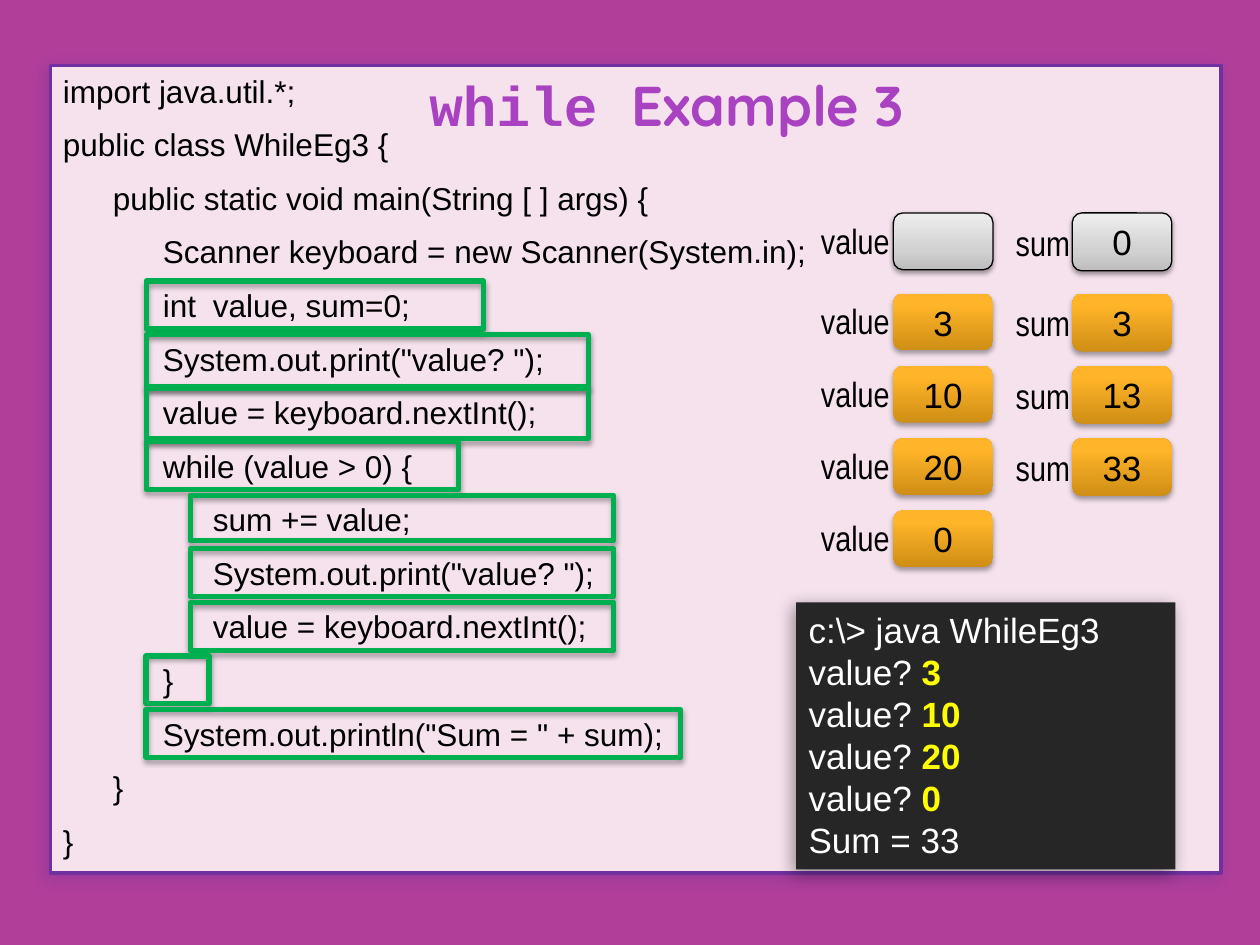
"""Builds the slide that traces a Java while loop through its variables and console."""
from dataclasses import dataclass
from typing import Optional

import lxml.etree
import pptx
import pptx.dml.color
import pptx.enum.shapes
import pptx.enum.text
import pptx.oxml.ns
import pptx.util

Pt = pptx.util.Pt
RGBColor = pptx.dml.color.RGBColor
Shape = pptx.enum.shapes.MSO_SHAPE
Align = pptx.enum.text.PP_ALIGN
Anchor = pptx.enum.text.MSO_ANCHOR
qn = pptx.oxml.ns.qn

MAGENTA = RGBColor(0xB1, 0x3F, 0x9A)
PINK = RGBColor(0xF5, 0xE2, 0xED)
PURPLE = RGBColor(0x70, 0x30, 0xA0)
GREEN = RGBColor(0x00, 0xB0, 0x50)
CHARCOAL = RGBColor(0x26, 0x26, 0x26)
BLACK = RGBColor(0x00, 0x00, 0x00)
WHITE = RGBColor(0xFF, 0xFF, 0xFF)
YELLOW = RGBColor(0xFF, 0xFF, 0x00)

GREY_STOPS = ((0, RGBColor(0xBD, 0xBD, 0xBD)), (35, RGBColor(0xD1, 0xD1, 0xD1)),
              (100, RGBColor(0xEE, 0xEE, 0xEE)))
ORANGE_STOPS = ((0, RGBColor(0xCF, 0x8E, 0x15)), (80, RGBColor(0xFF, 0xB4, 0x29)),
                (100, RGBColor(0xFF, 0xB5, 0x2B)))
TITLE_STOPS = ((0, RGBColor(0xDB, 0x8A, 0xF1)), (75, RGBColor(0xA9, 0x42, 0xC1)),
               (100, RGBColor(0x9C, 0x1F, 0xB6)))

TAB = 28.6
LINE_PITCH = 30.6
FIRST_HIGHLIGHT_LINE = 4
FIRST_HIGHLIGHT_TOP = 160.6
HIGHLIGHT_LEFT = {2: 83.5, 3: 108.7}
START_TOP = 121.7
LOOP_TOP = 167.8
LOOP_PITCH = 41.3


@dataclass(frozen=True)
class Shadow:
    color: RGBColor
    opacity: float
    blur: float
    distance: float
    angle: int


@dataclass(frozen=True)
class CodeLine:
    depth: int
    text: str
    highlight_width: Optional[float] = None
    highlight_height: float = 27.4


@dataclass(frozen=True)
class Variable:
    name: str
    label_left: float
    label_width: float
    label_drop: float
    cell_left: float
    cell_height: float
    states: tuple[str, ...]


SOFT_SHADOW = Shadow(BLACK, 35, 3.1, 1.8, 90)
GREY_SHADOW = Shadow(BLACK, 38, 3.1, 1.6, 90)
PANEL_SHADOW = Shadow(PURPLE, 40, 10, 3, 135)
CONSOLE_SHADOW = Shadow(BLACK, 40, 10, 3, 135)

PROGRAM = (
    CodeLine(0, "import java.util.*;"),
    CodeLine(0, "public class WhileEg3 {"),
    CodeLine(1, "public static void main(String [ ] args) {"),
    CodeLine(2, "Scanner keyboard = new Scanner(System.in);"),
    CodeLine(2, "int\tvalue, sum=0;", 193),
    CodeLine(2, 'System.out.print("value? ");', 252.7, 29.5),
    CodeLine(2, "value = keyboard.nextInt();", 252.7, 28.8),
    CodeLine(2, "while (value > 0) {", 178.6),
    CodeLine(3, "sum += value;", 241.9, 26),
    CodeLine(3, 'System.out.print("value? ");', 241.9),
    CodeLine(3, "value = keyboard.nextInt();", 241.9),
    CodeLine(2, "}", 36),
    CodeLine(2, 'System.out.println("Sum = " + sum);', 305.3),
    CodeLine(1, "}"),
    CodeLine(0, "}"),
)
VARIABLES = (
    Variable("value", 447.8, 67.7, 0, 510.5, 32.4, ("", "3", "10", "20", "0")),
    Variable("sum", 567.4, 51.1, 1.2, 612.7, 33.1, ("0", "3", "13", "33")),
)
SESSION = (
    (r"c:\> java WhileEg3", ""),
    ("value? ", "3"),
    ("value? ", "10"),
    ("value? ", "20"),
    ("value? ", "0"),
    ("Sum = 33", ""),
)


def style(font, name: str, size: float, color: RGBColor, bold: bool = False) -> None:
    """Set face, size, colour and weight of a font."""
    font.name, font.size, font.bold = name, Pt(size), bold
    font.color.rgb = color


def set_gradient(fill, owner, stops: tuple, angle: int) -> None:
    """Give the owner element of a fill a linear gradient with the stops."""
    fill.gradient()
    fill.gradient_angle = angle
    stop_list = owner.find(qn("a:gradFill")).find(qn("a:gsLst"))
    for stop in list(stop_list):
        stop_list.remove(stop)
    for position, color in stops:
        stop = lxml.etree.SubElement(stop_list, qn("a:gs"), pos=str(position * 1000))
        lxml.etree.SubElement(stop, qn("a:srgbClr"), val=str(color))


def set_shadow(shape, shadow: Shadow) -> None:
    """Replace the theme shadow of a shape."""
    shape.shadow.inherit = False
    effects = shape._element.spPr.find(qn("a:effectLst"))
    outer = lxml.etree.SubElement(
        effects, qn("a:outerShdw"), blurRad=str(Pt(shadow.blur)),
        dist=str(Pt(shadow.distance)), dir=str(shadow.angle * 60000), rotWithShape="0")
    color = lxml.etree.SubElement(outer, qn("a:srgbClr"), val=str(shadow.color))
    lxml.etree.SubElement(color, qn("a:alpha"), val=str(shadow.opacity * 1000))


def add_block(shapes, kind, left: float, top: float, width: float, height: float,
              shadow: Shadow, fill: Optional[RGBColor] = None,
              line: Optional[RGBColor] = None, line_width: float = 1):
    """Add a preset shape with its fill, line and shadow."""
    block = shapes.add_shape(kind, Pt(left), Pt(top), Pt(width), Pt(height))
    if fill is None:
        block.fill.background()
    else:
        block.fill.solid()
        block.fill.fore_color.rgb = fill
    if line is None:
        block.line.fill.background()
    else:
        block.line.color.rgb = line
        block.line.width = Pt(line_width)
    set_shadow(block, shadow)
    return block


def add_program(shapes) -> None:
    """Draw the code panel and the highlights of the traced statements."""
    panel = add_block(shapes, Shape.RECTANGLE, 28.8, 37.4, 668.9, 461.5,
                      PANEL_SHADOW, PINK, PURPLE, 2)
    code = panel.text_frame
    code.vertical_anchor = Anchor.TOP
    code.text = "\n".join("\t" * line.depth + line.text for line in PROGRAM)
    for paragraph in code.paragraphs:
        paragraph.alignment = Align.LEFT
        paragraph.space_before = Pt(9)
        paragraph.line_spacing = Pt(21.6)
        style(paragraph.runs[0].font, "Arial", 18, BLACK)
        tabs = lxml.etree.SubElement(paragraph._p.get_or_add_pPr(), qn("a:tabLst"))
        for step in range(1, 4):
            lxml.etree.SubElement(tabs, qn("a:tab"), pos=str(Pt(step * TAB)), algn="l")
    for index, line in enumerate(PROGRAM):
        if line.highlight_width:
            top = FIRST_HIGHLIGHT_TOP + (index - FIRST_HIGHLIGHT_LINE) * LINE_PITCH
            add_block(shapes, Shape.RECTANGLE, HIGHLIGHT_LEFT[line.depth], top,
                      line.highlight_width, line.highlight_height,
                      SOFT_SHADOW, line=GREEN, line_width=3)


def add_state(shapes, variable: Variable, step: int) -> None:
    """Draw one labelled cell with the content of a variable at a step."""
    initial = step == 0
    top = START_TOP if initial else LOOP_TOP + (step - 1) * LOOP_PITCH
    pair = shapes.add_group_shape().shapes
    cell = add_block(pair, Shape.ROUNDED_RECTANGLE, variable.cell_left, top, 56.9,
                     variable.cell_height, GREY_SHADOW if initial else SOFT_SHADOW,
                     line=BLACK if initial else None, line_width=0.75)
    set_gradient(cell.fill, cell._element.spPr,
                 GREY_STOPS if initial else ORANGE_STOPS, 90)
    label = pair.add_textbox(Pt(variable.label_left), Pt(top + variable.label_drop),
                             Pt(variable.label_width), Pt(31.7))
    label.text_frame.word_wrap = True
    cell.text_frame.vertical_anchor = Anchor.MIDDLE
    for holder, text, face, alignment in (
            (cell, variable.states[step], "Arial", Align.CENTER),
            (label, variable.name, "Arial Narrow", Align.RIGHT)):
        if text:
            holder.text_frame.text = text
            paragraph = holder.text_frame.paragraphs[0]
            paragraph.alignment = alignment
            style(paragraph.runs[0].font, face, 20, BLACK)


def add_title(shapes) -> None:
    """Write the heading in two faces with a shared gradient."""
    title = shapes.add_textbox(Pt(238.3), Pt(41), Pt(455.8), Pt(41.8)).text_frame
    title.word_wrap = True
    title.vertical_anchor = Anchor.MIDDLE
    heading = title.paragraphs[0]
    heading.text = "while "
    heading.line_spacing = 0.9
    heading.add_run().text = "Example 3"
    for run, face in zip(heading.runs, ("Courier New", "Quicksand")):
        run.font.name, run.font.size, run.font.bold = face, Pt(32), True
        set_gradient(run.font.fill, run._r.rPr, TITLE_STOPS, 270)


def add_console(shapes) -> None:
    """Draw the console window with the typed answers in yellow."""
    console = add_block(shapes, Shape.RECTANGLE, 455, 344.2, 216.7, 152.6,
                        CONSOLE_SHADOW, CHARCOAL).text_frame
    console.word_wrap = False
    console.vertical_anchor = Anchor.TOP
    console.text = "\n".join(output for output, _ in SESSION)
    for paragraph, (_, answer) in zip(console.paragraphs, SESSION):
        paragraph.alignment = Align.LEFT
        paragraph.line_spacing = Pt(24)
        style(paragraph.runs[0].font, "Arial", 20, WHITE)
        if answer:
            typed = paragraph.add_run()
            typed.text = answer
            style(typed.font, "Arial", 20, YELLOW, True)


def main() -> None:
    """Build and save the slide."""
    deck = pptx.Presentation()
    deck.slide_width, deck.slide_height = Pt(720), Pt(540)
    slide = deck.slides.add_slide(deck.slide_layouts[6])
    slide.background.fill.solid()
    slide.background.fill.fore_color.rgb = MAGENTA
    add_program(slide.shapes)
    for variable in VARIABLES:
        for step in range(len(variable.states)):
            add_state(slide.shapes, variable, step)
    add_title(slide.shapes)
    add_console(slide.shapes)
    deck.save("out.pptx")


if __name__ == "__main__":
    main()
